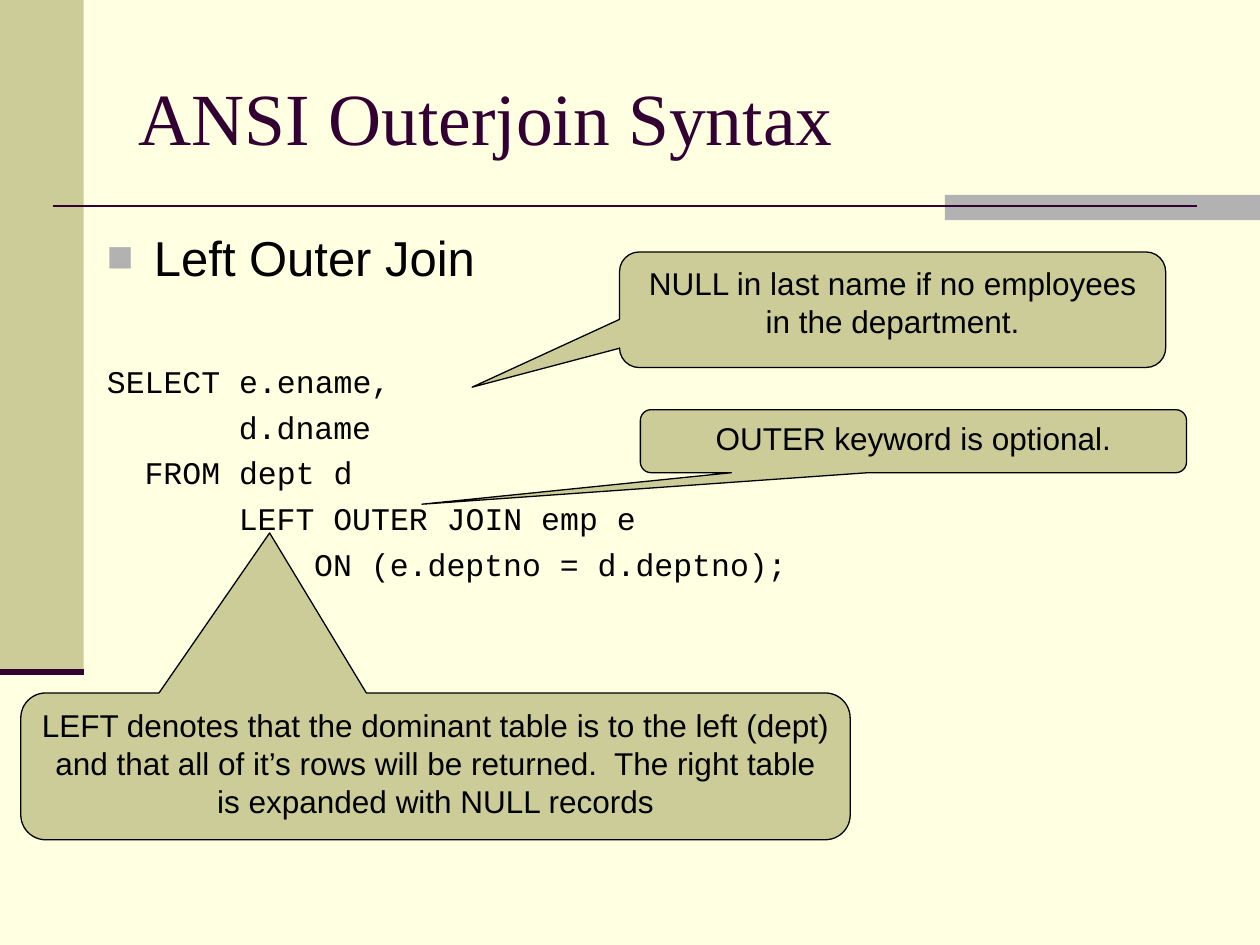
from lxml import etree
from pptx import Presentation
from pptx.dml.color import RGBColor
from pptx.enum.shapes import MSO_CONNECTOR, MSO_SHAPE
from pptx.enum.text import MSO_ANCHOR, MSO_AUTO_SIZE, PP_ALIGN
from pptx.oxml.ns import qn
from pptx.util import Cm, Pt

RECT = MSO_SHAPE.RECTANGLE
CALLOUT = MSO_SHAPE.ROUNDED_RECTANGULAR_CALLOUT
STRAIGHT = MSO_CONNECTOR.STRAIGHT
TOP, MIDDLE = MSO_ANCHOR.TOP, MSO_ANCHOR.MIDDLE
LEFT, CENTER = PP_ALIGN.LEFT, PP_ALIGN.CENTER

# Content; lengths in cm
TITLE = "ANSI Outerjoin Syntax"
HEADING = "Left Outer Join"
CODE = [  # columns of indent, text
    (0, "SELECT e.ename,"),
    (7, "d.dname"),
    (2, "FROM dept d"),
    (7, "LEFT OUTER JOIN emp e"),
    (11, "ON (e.deptno = d.deptno);"),
]
CALLOUTS = [  # text, box, tail tip relative to the box centre
    ("LEFT denotes that the dominant table is to the left (dept) and that all "
     "of it’s rows will be returned.  The right table is expanded with NULL records",
     (0.42, 13.97, 16.72, 2.96), (-0.2, -1.59)),
    ("NULL in last name if no employees in the department.",
     (12.49, 5.08, 11.01, 2.33), (-0.77, 0.67)),
    ("OUTER keyword is optional.",
     (12.91, 8.26, 11.01, 1.27), (-0.9, 1)),
]
TITLE_BOX = (2.54, 0.76, 21.59, 3.18)
BODY_BOX = (1.9, 4.45, 23.5, 12.57)
BULLET_INDENT = 0.95
CODE_COLUMN = 0.38  # width of one 18 pt monospaced character

THEME = {
    "paper": RGBColor(0xFF, 0xFF, 0xE1),
    "khaki": RGBColor(0xCC, 0xCC, 0x99),
    "grey": RGBColor(0xB2, 0xB2, 0xB2),
    "plum": RGBColor(0x33, 0x00, 0x33),
    "black": RGBColor(0, 0, 0),
    "title": ("Times New Roman", 42),
    "heading": ("Arial", 28),
    "code": ("Courier New", 18),
    "note": ("Arial", 18),
}

BANDS = [((0, 0, 1.69, 13.55), "khaki"), ((19.05, 3.93, 6.35, 0.51), "grey")]
RULES = [((1.06, 4.15), (24.13, 4.15), 1.5), ((0, 13.55), (1.69, 13.55), 3.5)]


def cm(values):
    return [Cm(v) for v in values]


def add_run(p, text, style, color="black"):
    r = p.add_run()
    r.text = text
    r.font.name, size = THEME[style]
    r.font.size = Pt(size)
    r.font.color.rgb = THEME[color]


def add_block(s, kind, box, color):
    sp = s.shapes.add_shape(kind, *cm(box))
    sp.shadow.inherit = False
    sp.fill.solid()
    sp.fill.fore_color.rgb = THEME[color]
    sp.line.fill.background()
    return sp


def add_rule(s, start, end, width):
    line = s.shapes.add_connector(STRAIGHT, *cm(start + end))
    line.line.color.rgb = THEME["plum"]
    line.line.width = Pt(width)
    etree.SubElement(line.element.spPr, qn("a:effectLst"))


def add_callout(s, text, box, tip):
    sp = add_block(s, CALLOUT, box, "khaki")
    sp.line.color.rgb = THEME["black"]
    sp.line.width = Pt(0.75)
    for i, value in enumerate((*tip, 0.17)):
        sp.adjustments[i] = value
    tf = sp.text_frame
    tf.word_wrap = True
    tf.vertical_anchor = TOP
    p = tf.paragraphs[0]
    p.alignment = CENTER
    add_run(p, text, "note")


def place(sp, box, anchor):
    sp.left, sp.top, sp.width, sp.height = cm(box)
    tf = sp.text_frame
    tf.auto_size = MSO_AUTO_SIZE.NONE
    tf.word_wrap = True
    tf.vertical_anchor = anchor
    sp.element.getparent().append(sp.element)  # in front of the bands
    return tf


def format_paragraph(p, margin, indent, before, bullet=False):
    p.alignment = LEFT
    p.space_before = Pt(before)
    pPr = p._p.get_or_add_pPr()
    pPr.set("marL", str(Cm(margin)))
    pPr.set("indent", str(Cm(indent)))
    if not bullet:
        etree.SubElement(pPr, qn("a:buNone"))
        return
    color = etree.SubElement(pPr, qn("a:buClr"))
    etree.SubElement(color, qn("a:srgbClr"), val=str(THEME["grey"]))
    etree.SubElement(pPr, qn("a:buSzPct"), val="90000")
    etree.SubElement(pPr, qn("a:buFont"), typeface="Arial")
    etree.SubElement(pPr, qn("a:buChar"), char="■")


def main():
    prs = Presentation()
    prs.slide_width, prs.slide_height = Cm(25.4), Cm(19.05)
    s = prs.slides.add_slide(prs.slide_layouts[1])
    s.background.fill.solid()
    s.background.fill.fore_color.rgb = THEME["paper"]

    # Side band, corner bar and rules
    for box, color in BANDS:
        add_block(s, RECT, box, color)
    for rule in RULES:
        add_rule(s, *rule)

    # Title
    p = place(s.shapes.title, TITLE_BOX, MIDDLE).paragraphs[0]
    p.alignment = LEFT
    add_run(p, TITLE, "title", "plum")

    # Heading and code; a wide gap precedes the first code line
    tf = place(s.placeholders[1], BODY_BOX, TOP)
    p = tf.paragraphs[0]
    format_paragraph(p, BULLET_INDENT, -BULLET_INDENT, 7, bullet=True)
    add_run(p, HEADING, "heading")
    for i, (columns, text) in enumerate(CODE):
        p = tf.add_paragraph()
        format_paragraph(p, columns * CODE_COLUMN, 0, 4.5 if i else 43.5)
        add_run(p, text, "code")

    # Callouts
    for callout in CALLOUTS:
        add_callout(s, *callout)

    prs.save("out.pptx")


if __name__ == "__main__":
    main()
